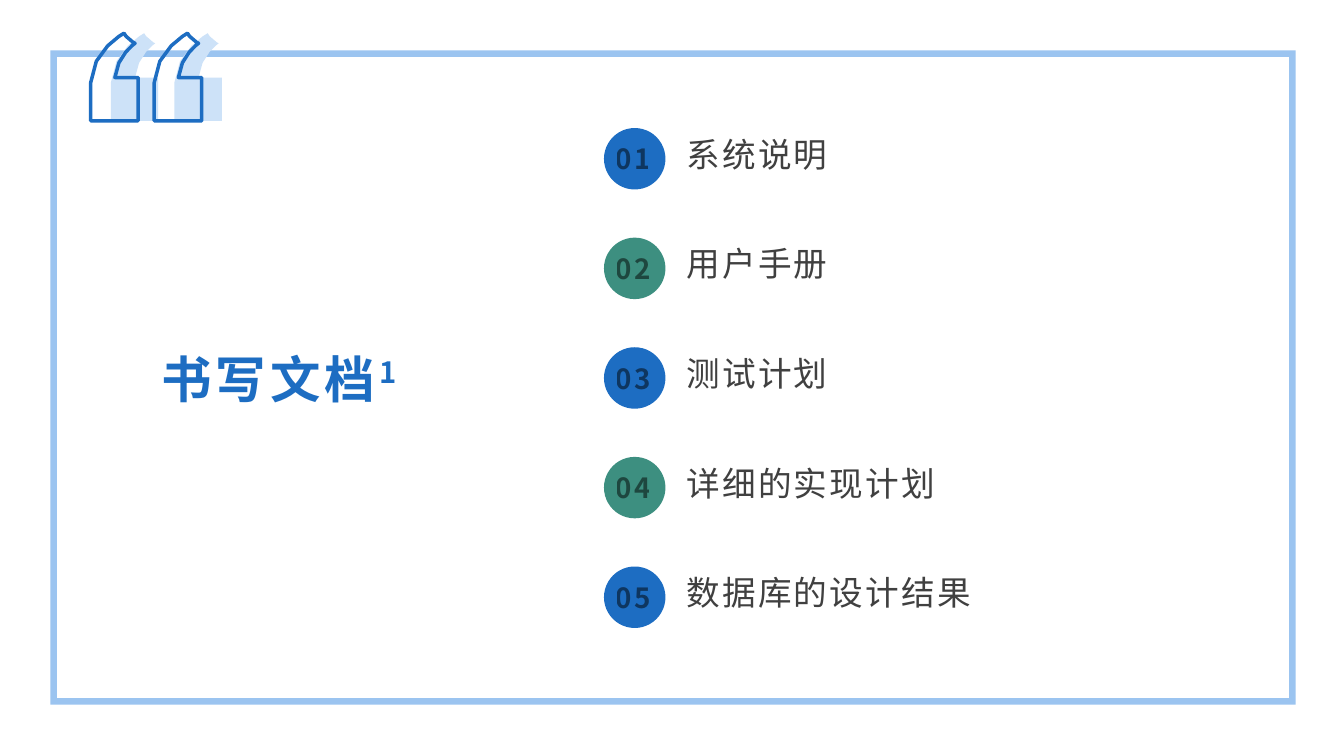
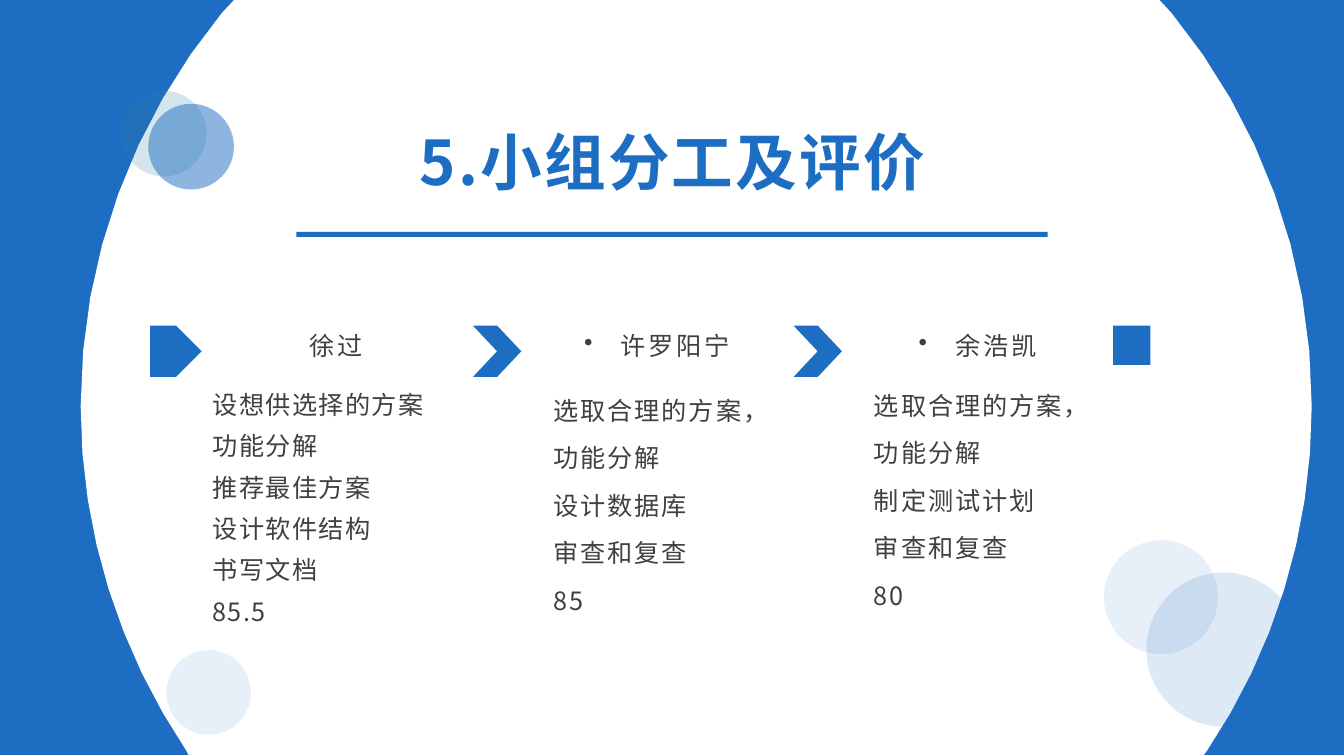
from lxml.etree import SubElement
from pptx import Presentation
from pptx.dml.color import RGBColor
from pptx.enum.shapes import MSO_SHAPE
from pptx.enum.text import MSO_ANCHOR, PP_ALIGN
from pptx.oxml.ns import qn
from pptx.util import Inches, Pt

FONT = "Noto Sans CJK SC"
BLUE = "1D6DC2"
GREEN = "3D8F80"
TEAL = "2D7EA1"
FRAME_BLUE = "9BC4F0"
PALE_BLUE = "CDE2F8"
WHITE = "FFFFFF"
BLACK = "000000"
GREY = "404040"

QUOTE_MARK = [
    (0.33, 0), (0.35, 0.03), (0.42, 0.09), (0.44, 0.1),
    (0.44, 0.1, 0.26, 0.22, 0.24, 0.44), (0.47, 0.44), (0.47, 0.87),
    (0, 0.87), (0, 0.49), (0.01, 0.17, 0.33, 0, 0.33, 0),
]
WHITE_STAGE = [
    (2.33, -0.01), (11.49, -0.01), (11.62, 0.13),
    (12.49, 1.19, 13.01, 2.55, 13.01, 4.03),
    (13.01, 5.29, 12.63, 6.47, 11.97, 7.45), (11.94, 7.49), (1.87, 7.49),
    (1.85, 7.45), (1.19, 6.47, 0.8, 5.29, 0.8, 4.03),
    (0.8, 2.55, 1.33, 1.19, 2.2, 0.13),
]


def paint(fill, color, alpha=100):
    fill.solid()
    fill.fore_color.rgb = RGBColor.from_string(color)
    if alpha < 100:
        tint = fill._xPr.find(qn("a:solidFill"))[0]
        SubElement(tint, qn("a:alpha"), val=str(alpha * 1000))


def finish(shape, fill=None, line=None, width=1, alpha=100):
    shape.shadow.inherit = False
    if fill:
        paint(shape.fill, fill, alpha)
    else:
        shape.fill.background()
    if line:
        paint(shape.line.fill, line)
        shape.line.width = Pt(width)
    else:
        shape.line.fill.background()


def add_preset(slide, kind, box, fill, alpha=100, adjust=None):
    shape = slide.shapes.add_shape(kind, *map(Inches, box))
    if adjust is not None:
        shape.adjustments[0] = adjust
    finish(shape, fill, alpha=alpha)


def add_circle(slide, left, top, size, fill, alpha=100):
    add_preset(slide, MSO_SHAPE.OVAL, (left, top, size, size), fill, alpha)


def flatten(outline, left=0, top=0, steps=4):
    points = []
    for step in outline:
        if len(step) == 2:
            points.append(step)
            continue
        x0, y0 = points[-1]
        x1, y1, x2, y2, x3, y3 = step
        for i in range(1, steps + 1):
            t = i / steps
            u = 1 - t
            a, b, c, d = u ** 3, 3 * u * u * t, 3 * u * t * t, t ** 3
            points.append((a * x0 + b * x1 + c * x2 + d * x3,
                           a * y0 + b * y1 + c * y2 + d * y3))
    return [(Inches(left + x), Inches(top + y)) for x, y in points]


def add_outline(slide, contours, **finishing):
    builder = slide.shapes.build_freeform(*contours[0][0], scale=1.0)
    for i, contour in enumerate(contours):
        if i:
            builder.move_to(*contour[0])
        builder.add_line_segments(contour[1:], close=True)
    finish(builder.convert_to_shape(), **finishing)


def add_text(slide, box, lines, size, color=GREY, alpha=100, bold=False,
             tracking=0, align=PP_ALIGN.LEFT, anchor=MSO_ANCHOR.TOP,
             spacing=None, after=0, bullet=False, superscript=""):
    frame = slide.shapes.add_textbox(*map(Inches, box)).text_frame
    frame.word_wrap = True
    frame.vertical_anchor = anchor
    for i, line in enumerate(lines):
        paragraph = frame.add_paragraph() if i else frame.paragraphs[0]
        paragraph.alignment = align
        paragraph.space_after = Pt(after)
        if spacing:
            paragraph.line_spacing = spacing
        if bullet:
            properties = paragraph._p.get_or_add_pPr()
            properties.set("marL", str(Inches(0.36)))
            properties.set("indent", str(Inches(-0.36)))
            SubElement(properties, qn("a:buChar"), char="•")
        for content, baseline in ((line, 0), (superscript, 30000)):
            if not content:
                continue
            run = paragraph.add_run()
            run.text = content
            run.font.size = Pt(size)
            run.font.bold = bold
            run.font.name = FONT
            paint(run.font.fill, color, alpha)
            markup = run._r.get_or_add_rPr()
            markup.set("spc", str(round(tracking * 100)))
            if baseline:
                markup.set("baseline", str(baseline))
            SubElement(markup, qn("a:ea"), typeface=FONT)


def add_title(slide, box, title, size, **style):
    add_text(slide, box, [title], size, color=BLUE, bold=True,
             anchor=MSO_ANCHOR.MIDDLE, **style)


def add_quote(slide, left, top):
    shadow_shift, mark_pitch = 0.2, 0.63
    for shift, finishing in ((shadow_shift, {"fill": PALE_BLUE}),
                             (0, {"line": BLUE, "width": 2.5})):
        marks = [flatten(QUOTE_MARK, left + shift + i * mark_pitch, top)
                 for i in range(2)]
        add_outline(slide, marks, **finishing)


def add_agenda_item(slide, left, top, number, label):
    badge = 0.61
    add_circle(slide, left, top, badge, BLUE if number % 2 else GREEN)
    add_text(slide, (left + 0.72, top + 0.02, 4.97, 0.52), [label], 24,
             tracking=1.6, anchor=MSO_ANCHOR.MIDDLE, spacing=0.9, after=8)
    add_text(slide, (left + 0.02, top, badge, badge), [f"{number:02}"], 19.8,
             color=BLACK, alpha=50, bold=True, tracking=1.4,
             anchor=MSO_ANCHOR.MIDDLE, after=8)


def build_agenda(slide):
    add_preset(slide, MSO_SHAPE.FRAME, (0.5, 0.5, 12.35, 6.49), FRAME_BLUE,
               adjust=0.01)
    add_quote(slide, 0.9, 0.33)
    add_title(slide, (1.5, 3, 3, 1.5), "书写文档", 36, tracking=3,
              superscript="1")
    topics = ["系统说明", "用户手册", "测试计划", "详细的实现计划", "数据库的设计结果"]
    first, last = 1.27, 5.62
    pitch = (last - first) / (len(topics) - 1)
    for i, topic in enumerate(topics):
        add_agenda_item(slide, 5.99, first + pitch * i, i + 1, topic)


def add_stage(slide):
    add_preset(slide, MSO_SHAPE.RECTANGLE, (0, -0.01, 13.33, 7.5), BLUE)
    add_outline(slide, [flatten(WHITE_STAGE, steps=8)], fill=WHITE)
    for left, top, size, fill, alpha in (
            (1.2, 0.9, 0.85, TEAL, 20), (1.47, 1.03, 0.85, BLUE, 50),
            (1.65, 6.45, 0.84, BLUE, 10), (11.37, 5.68, 1.53, BLUE, 15),
            (10.95, 5.36, 1.13, BLUE, 10)):
        add_circle(slide, left, top, size, fill, alpha)


def add_member(slide, left, top, name, duties, lead=False, drop=0.58):
    if lead:
        marker, marker_box = MSO_SHAPE.PENTAGON, (left - 0.72, top, 0.51, 0.51)
        duties_left, duties_width, tracking, spacing = left - 0.2, 2.45, 1, None
    else:
        marker, marker_box = MSO_SHAPE.CHEVRON, (left - 0.7, top, 0.48, 0.51)
        duties_left, duties_width, tracking, spacing = left, 2.24, 1.4, 1.2
    add_preset(slide, marker, marker_box, BLUE)
    add_text(slide, (left, top, 2.25, 0.5), [name], 18, tracking=2,
             align=PP_ALIGN.CENTER, bullet=not lead)
    add_text(slide, (duties_left, top + drop, duties_width, 2.69), duties, 18,
             tracking=tracking, spacing=spacing, after=8)


def build_team(slide):
    add_stage(slide)
    add_preset(slide, MSO_SHAPE.RECTANGLE, (2.94, 2.3, 7.45, 0.05), BLUE)
    add_title(slide, (1.67, 1.17, 10, 0.85), "5.小组分工及评价", 44,
              tracking=1.6, align=PP_ALIGN.CENTER)
    left, top, pitch = 2.21, 3.23, 3.18
    add_member(slide, left, top, "徐过",
               ["设想供选择的方案", "功能分解", "推荐最佳方案", "设计软件结构",
                "书写文档", "85.5"], lead=True)
    add_member(slide, left + pitch, top, "许罗阳宁",
               ["选取合理的方案，", "功能分解", "设计数据库", "审查和复查", "85"])
    add_member(slide, left + 2 * pitch, top, "余浩凯",
               ["选取合理的方案，", "功能分解", "制定测试计划", "审查和复查", "80"],
               drop=0.53)
    add_preset(slide, MSO_SHAPE.RECTANGLE, (11.04, top, 0.37, 0.39), BLUE)


def main():
    deck = Presentation()
    deck.slide_width = Inches(13.33)
    deck.slide_height = Inches(7.5)
    for build in (build_agenda, build_team):
        build(deck.slides.add_slide(deck.slide_layouts[6]))
    deck.save("out.pptx")


if __name__ == "__main__":
    main()
